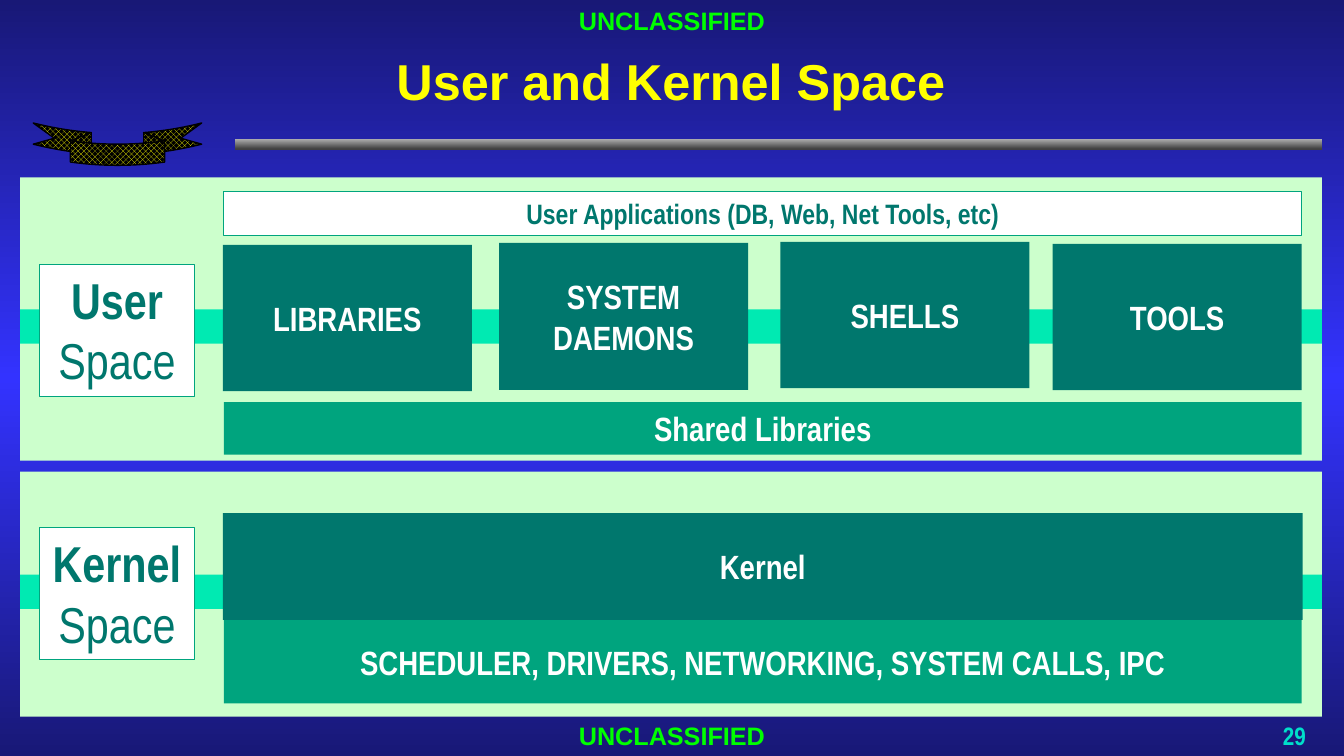
from copy import deepcopy

from pptx import Presentation
from pptx.dml.color import RGBColor
from pptx.enum.dml import MSO_PATTERN
from pptx.enum.shapes import MSO_SHAPE as Preset
from pptx.enum.text import MSO_ANCHOR as Anchor, PP_ALIGN as Align
from pptx.oxml.ns import qn
from pptx.util import Pt

PX = 9144
THEME = {
    "night": "181876", "blue": "3333FF", "silver": "AEAEAE", "graphite": "404040",
    "yellow": "FFFF00", "black": "000000", "lime": "00FF00", "aqua": "00DFCA",
    "mint": "CCFFCC", "stripe": "00EAB2", "green": "00A47E", "teal": "00776D",
    "white": "FFFFFF",
    "sans": "Arial", "narrow": "Arial Narrow",
    "display": 36, "label": 24, "caption": 20, "small": 18,
}


def color(name):
    return RGBColor.from_string(THEME[name])


def write(shape, runs, size, font, ink, anchor=Anchor.MIDDLE, align=Align.CENTER):
    frame = shape.text_frame
    frame.word_wrap = True
    frame.vertical_anchor = anchor
    paragraph = frame.paragraphs[0]
    paragraph.alignment = align
    for text, bold in runs:
        run = paragraph.add_run()
        run.text = text
        formats = {"size": Pt(THEME[size]), "name": THEME[font], "bold": bold}
        for attribute, value in formats.items():
            setattr(run.font, attribute, value)
        run.font.color.rgb = color(ink)
    return paragraph


presentation = Presentation()
presentation.slide_width = 1333 * PX
presentation.slide_height = 750 * PX
slide = presentation.slides.add_slide(presentation.slide_layouts[5])
shapes = slide.shapes

background = slide.background.fill
background.gradient()
background.gradient_angle = 270
stop_list = slide.element.find(".//" + qn("a:gsLst"))
stop_list.append(deepcopy(stop_list[-1]))
for stop, (position, name) in zip(
    background.gradient_stops, [(0, "night"), (0.5, "blue"), (1, "night")]
):
    stop.position = position
    stop.color.rgb = color(name)

title = shapes.title
for attribute, value in {"left": 233, "top": 22, "width": 865, "height": 125}.items():
    setattr(title, attribute, value * PX)
heading = write(title, [("User and Kernel Space", True)], "display", "sans", "yellow")
heading.line_spacing = Pt(37)

rule = shapes.add_shape(Preset.RECTANGLE, 233 * PX, 138 * PX, 1078 * PX, 10 * PX)
rule.shadow.inherit = False
rule.line.fill.background()
rule.fill.gradient()
rule.fill.gradient_angle = 270
for stop, (position, name) in zip(
    rule.fill.gradient_stops, [(0, "silver"), (0.98, "graphite")]
):
    stop.position = position
    stop.color.rgb = color(name)

ribbon = shapes.add_shape(Preset.CURVED_UP_RIBBON, 33 * PX, 122 * PX, 167 * PX, 42 * PX)
ribbon.shadow.inherit = False
ribbon.rotation = 180
for index, value in enumerate([0.5, 0.56, 0.25]):
    ribbon.adjustments[index] = value
ribbon.fill.patterned()
ribbon.fill.pattern = MSO_PATTERN.LARGE_CHECKER_BOARD
ribbon.fill.fore_color.rgb = color("yellow")
ribbon.fill.back_color.rgb = color("black")
ribbon.line.color.rgb = color("black")
ribbon.line.width = Pt(1)

for top in (0, 710):
    marking = shapes.add_textbox(0, top * PX, 1333 * PX, 40 * PX)
    write(marking, [("UNCLASSIFIED", True)], "small", "sans", "lime")

page = shapes.add_textbox(1260 * PX, 715 * PX, 45 * PX, 34 * PX)
number = write(page, [("29", True)], "small", "narrow", "aqua", align=Align.RIGHT)
number.line_spacing = 0.8
page.text_frame.word_wrap = False

panels = [
    (20, 176, 1291, 281, "mint", ""),
    (20, 307, 1291, 34, "stripe", ""),
    (20, 468, 1291, 243, "mint", ""),
    (20, 570, 1291, 34, "stripe", ""),
    (222, 399, 1069, 52, "green", "Shared Libraries"),
    (221, 243, 247, 145, "teal", "LIBRARIES"),
    (495, 241, 247, 146, "teal", "SYSTEM DAEMONS"),
    (774, 240, 247, 145, "teal", "SHELLS"),
    (1044, 242, 247, 145, "teal", "TOOLS"),
    (222, 615, 1069, 83, "green", "SCHEDULER, DRIVERS, NETWORKING, SYSTEM CALLS, IPC"),
    (221, 509, 1071, 106, "teal", "Kernel"),
]
for left, top, width, height, fill, text in panels:
    panel = shapes.add_shape(
        Preset.RECTANGLE, left * PX, top * PX, width * PX, height * PX
    )
    panel.shadow.inherit = False
    panel.fill.solid()
    panel.fill.fore_color.rgb = color(fill)
    panel.line.fill.background()
    if text:
        write(panel, [(text, True)], "label", "narrow", "white")

cards = [
    (39, 262, 154, 131, "display", [("User ", True), ("Space", False)]),
    (39, 523, 154, 131, "display", [("Kernel ", True), ("Space", False)]),
    (222, 190, 1069, 44, "caption",
     [("User Applications (DB, Web, Net Tools, etc)", True)]),
]
for left, top, width, height, size, runs in cards:
    card = shapes.add_shape(
        Preset.RECTANGLE, left * PX, top * PX, width * PX, height * PX
    )
    card.shadow.inherit = False
    card.fill.solid()
    card.fill.fore_color.rgb = color("white")
    card.line.color.rgb = color("green")
    card.line.width = Pt(0.75)
    write(card, runs, size, "narrow", "teal", anchor=Anchor.TOP)

presentation.save("out.pptx")
